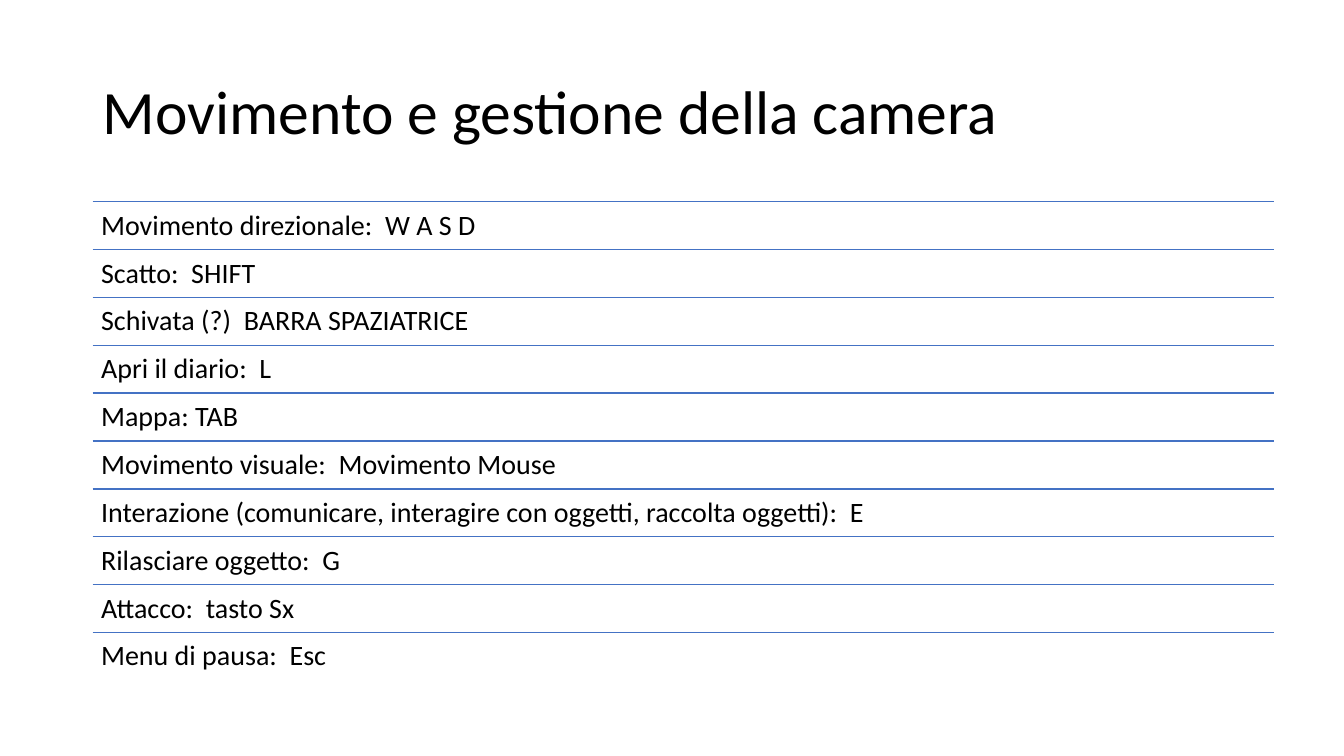
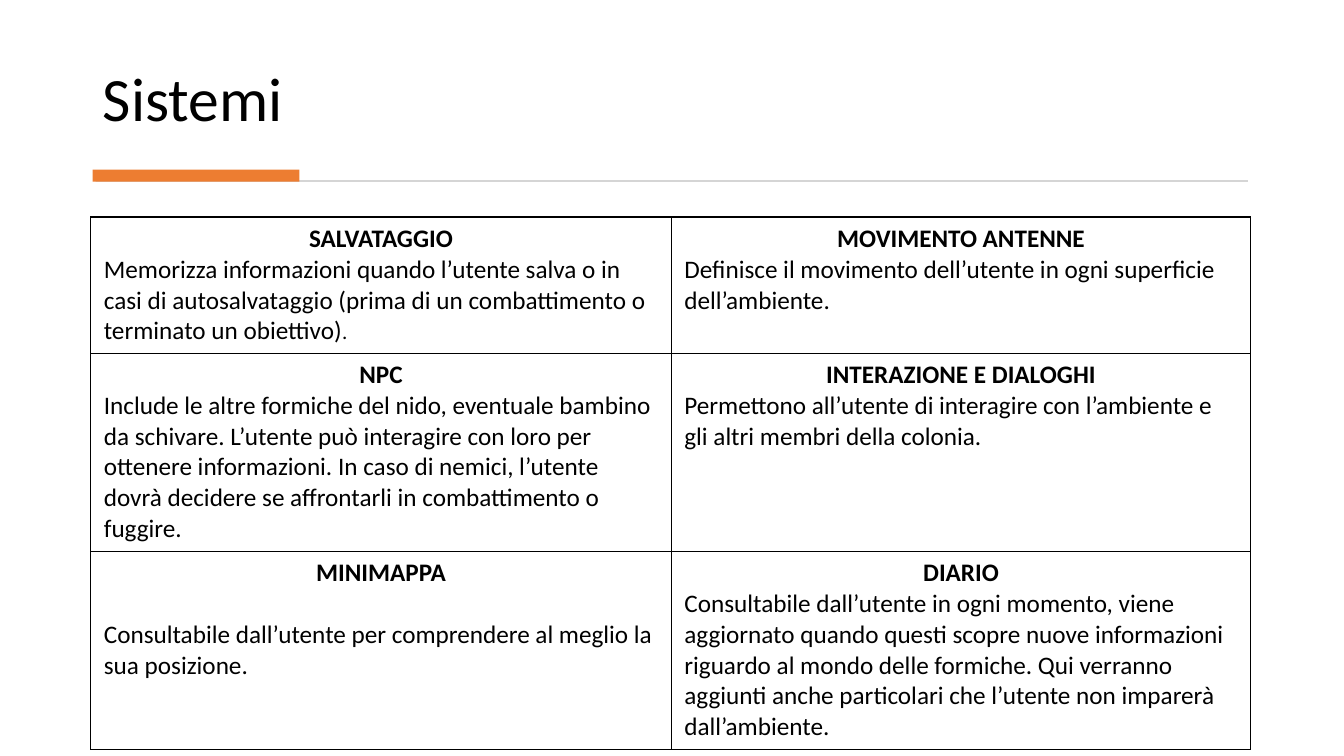
from lxml.etree import SubElement
from pptx import Presentation
from pptx.dml.color import RGBColor
from pptx.enum.shapes import MSO_CONNECTOR, MSO_SHAPE
from pptx.enum.text import MSO_ANCHOR, MSO_AUTO_SIZE, PP_ALIGN
from pptx.oxml.ns import qn
from pptx.util import Pt

BLACK = RGBColor(0x00, 0x00, 0x00)
BLUE = RGBColor(0x44, 0x72, 0xC4)
ORANGE = RGBColor(0xED, 0x7D, 0x31)
GRAY = RGBColor(0xD5, 0xD5, 0xD5)
FONT = "Calibri"
LEFT = 66.2

KEYS = [
    "Movimento direzionale:  W A S D",
    "Scatto:  SHIFT",
    "Schivata (?)  BARRA SPAZIATRICE",
    "Apri il diario:  L",
    "Mappa: TAB",
    "Movimento visuale:  Movimento Mouse",
    "Interazione (comunicare, interagire con oggetti, raccolta oggetti):  E",
    "Rilasciare oggetto:  G",
    "Attacco:  tasto Sx",
    "Menu di pausa:  Esc",
]

SYSTEMS = [
    [("SALVATAGGIO",
      "Memorizza informazioni quando l’utente salva o in casi di "
      "autosalvataggio (prima di un combattimento o terminato un obiettivo)"),
     ("MOVIMENTO ANTENNE",
      "Definisce il movimento dell’utente in ogni superficie dell’ambiente.")],
    [("NPC",
      "Include le altre formiche del nido, eventuale bambino da schivare. "
      "L’utente può interagire con loro per ottenere informazioni. In caso di "
      "nemici, l’utente dovrà decidere se affrontarli in combattimento o "
      "fuggire."),
     ("INTERAZIONE E DIALOGHI",
      "Permettono all’utente di interagire con l’ambiente e gli altri membri "
      "della colonia.")],
    [("MINIMAPPA",
      "Consultabile dall’utente per comprendere al meglio la sua posizione."),
     ("DIARIO",
      "Consultabile dall’utente in ogni momento, viene aggiornato quando "
      "questi scopre nuove informazioni riguardo al mondo delle formiche. Qui "
      "verranno aggiunti anche particolari che l’utente non imparerà "
      "dall’ambiente.")],
]


def place(shape, left, top, width, height):
    shape.left, shape.top = Pt(left), Pt(top)
    shape.width, shape.height = Pt(width), Pt(height)


def style(para, size, bold=False, align=PP_ALIGN.LEFT):
    para.alignment = align
    for run in para.runs:
        font = run.font
        font.name, font.size, font.bold = FONT, Pt(size), bold
        font.color.rgb = BLACK


def add_title(slide, text, box, anchor):
    title = slide.shapes.title
    place(title, *box)
    frame = title.text_frame
    frame.text = text
    frame.vertical_anchor = anchor
    frame.auto_size = MSO_AUTO_SIZE.NONE
    frame.paragraphs[0].line_spacing = 0.9
    style(frame.paragraphs[0], 44)


def add_list(slide, items, top, width, pitch):
    """Fill the body with one line per item and a rule above each."""
    body = slide.placeholders[1]
    place(body, LEFT, top, width, pitch * len(items))
    frame = body.text_frame
    frame.text = "\n".join(items)
    frame.auto_size = MSO_AUTO_SIZE.NONE
    frame.vertical_anchor = MSO_ANCHOR.TOP
    frame.margin_left = frame.margin_right = Pt(6)
    frame.margin_top = frame.margin_bottom = Pt(6)
    for index, para in enumerate(frame.paragraphs):
        style(para, 20)
        para.line_spacing = Pt(22)
        para.space_before = Pt(0)
        para.space_after = Pt(pitch - 22)
        props = para._p.get_or_add_pPr()
        props.set("marL", "0")
        props.set("indent", "0")
        SubElement(props, qn("a:buNone"))
        add_rule(slide, top + index * pitch, width)


def add_rule(slide, y, width):
    rule = slide.shapes.add_connector(
        MSO_CONNECTOR.STRAIGHT, Pt(LEFT), Pt(y), Pt(LEFT + width), Pt(y))
    rule.line.color.rgb = BLUE
    rule.line.width = Pt(1)
    SubElement(rule._element.spPr, qn("a:effectLst"))


def add_bar(slide, color, *box):
    bar = slide.shapes.add_shape(MSO_SHAPE.RECTANGLE, *map(Pt, box))
    bar.shadow.inherit = False
    bar.fill.solid()
    bar.fill.fore_color.rgb = color
    bar.line.fill.background()


def add_border(cell):
    props = cell._tc.get_or_add_tcPr()
    for side in ("lnL", "lnR", "lnT", "lnB"):
        line = SubElement(props, qn(f"a:{side}"), w=str(Pt(1)))
        fill = SubElement(line, qn("a:solidFill"))
        SubElement(fill, qn("a:srgbClr"), val=str(BLACK))


def fill_cell(cell, head, text):
    add_border(cell)
    cell.fill.background()
    cell.margin_left = cell.margin_right = Pt(9.4)
    cell.margin_top = cell.margin_bottom = Pt(4.7)
    frame = cell.text_frame
    frame.text = f"{head}\n{text}"
    style(frame.paragraphs[0], 18, True, PP_ALIGN.CENTER)
    style(frame.paragraphs[1], 18)


def add_grid(slide, rows, left, top, widths, heights):
    shape = slide.shapes.add_table(
        len(rows), len(widths), Pt(left), Pt(top),
        Pt(sum(widths)), Pt(sum(heights)))
    table = shape.table
    table.first_row = table.horz_banding = False
    for col, width in zip(table.columns, widths):
        col.width = Pt(width)
    for row, height, texts in zip(table.rows, heights, rows):
        row.height = Pt(height)
        for cell, (head, text) in zip(row.cells, texts):
            fill_cell(cell, head, text)
    return table


def add_controls(deck):
    slide = deck.slides.add_slide(deck.slide_layouts[1])
    add_title(slide, "Movimento e gestione della camera",
              (LEFT, 28.8, 855.4, 105.8), MSO_ANCHOR.MIDDLE)
    add_list(slide, KEYS, 144, 843.8, 34.2)


def add_systems(deck):
    slide = deck.slides.add_slide(deck.slide_layouts[5])
    add_title(slide, "Sistemi", (LEFT, 20.2, 827.3, 79.9), MSO_ANCHOR.BOTTOM)
    add_bar(slide, GRAY, 68.4, 128.6, 823, 1.4)
    add_bar(slide, ORANGE, LEFT, 121.2, 147.6, 8.6)
    table = add_grid(slide, SYSTEMS, 64.8, 155, (414.7, 414), (97, 141.5, 141.5))
    saving = table.cell(0, 0).text_frame.paragraphs[1]
    stop = saving.add_run()
    stop.text = "."
    style(saving, 18)
    stop.font.size = Pt(15)
    table.cell(2, 0).text_frame.paragraphs[1].space_before = Pt(22)


def main():
    deck = Presentation()
    deck.slide_width, deck.slide_height = Pt(960), Pt(540)
    add_controls(deck)
    add_systems(deck)
    deck.save("out.pptx")


if __name__ == "__main__":
    main()
